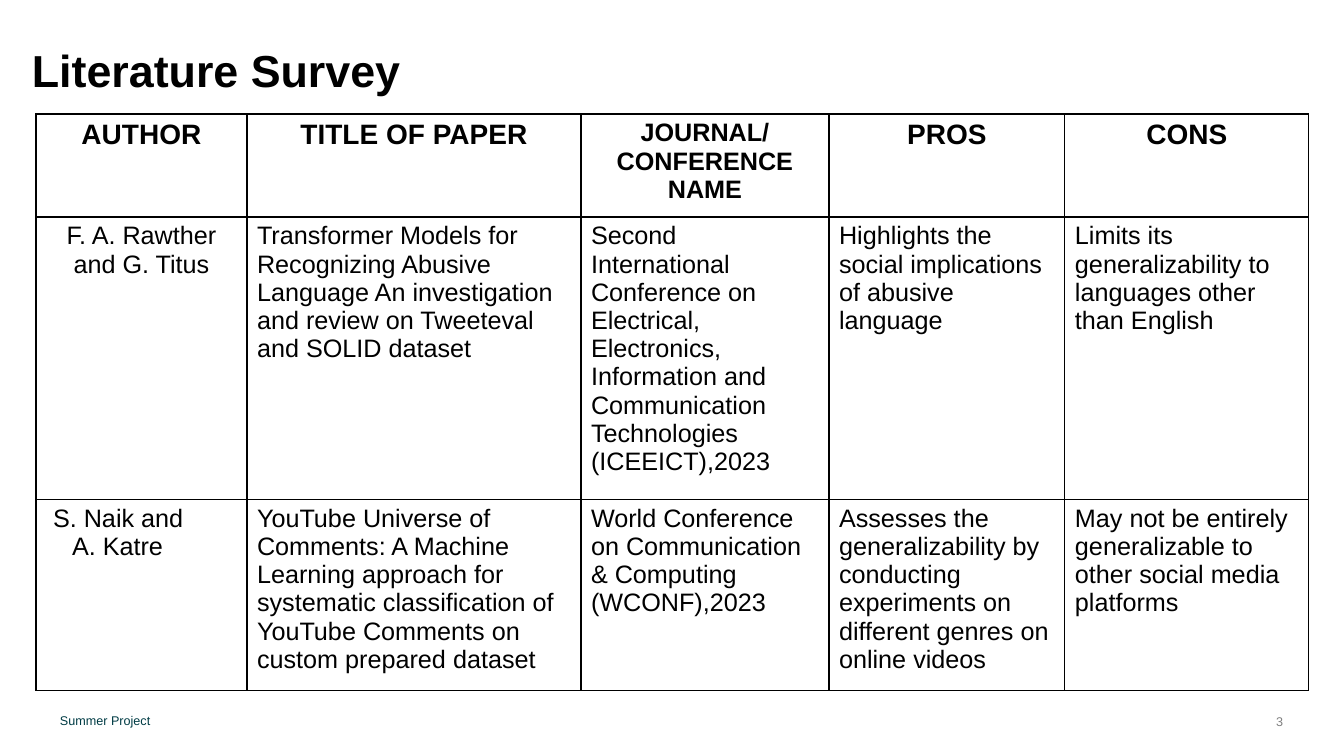
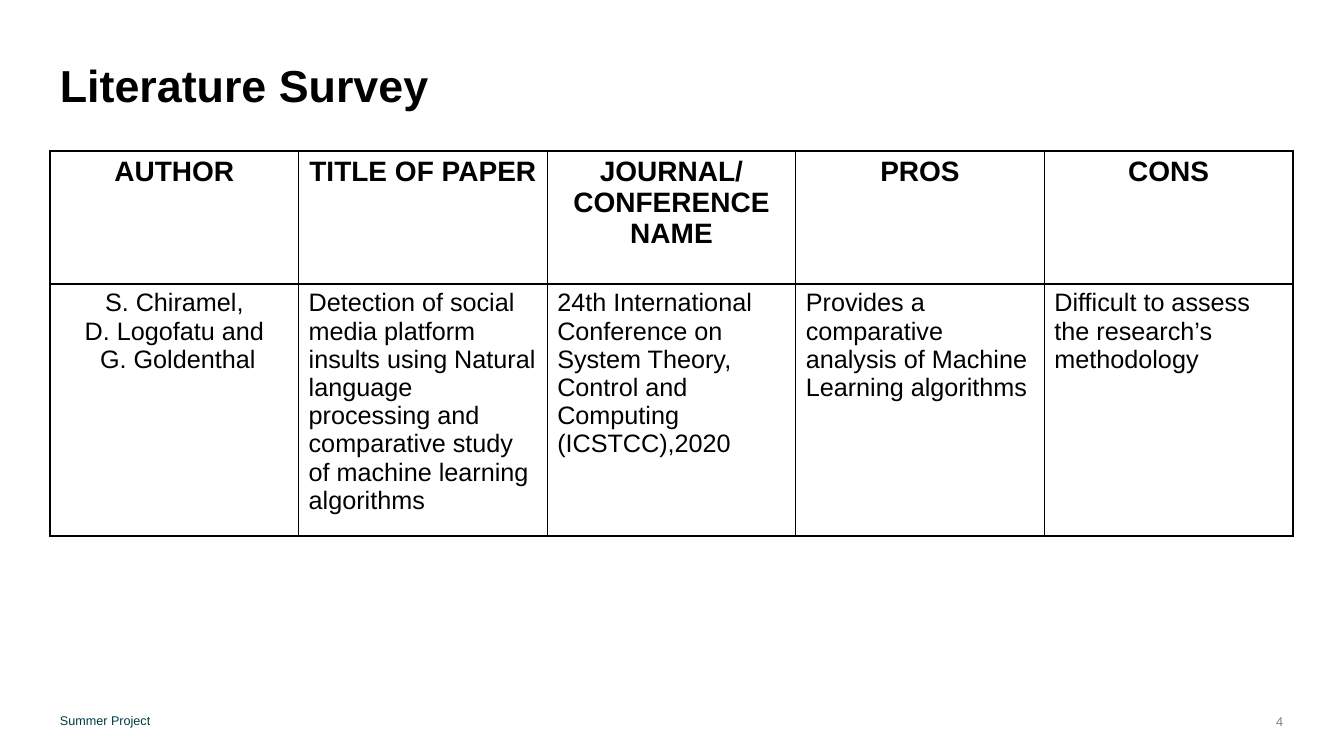
"""Build two literature survey slides, each with a bordered table."""
from lxml import etree
from pptx import Presentation
from pptx import util as u
from pptx.enum import text
from pptx.dml.color import RGBColor
from pptx.oxml.ns import qn

PX = 914400 / 100.8
FONT = "Arial"
COLOURS = {"ink": "000000", "footer": "003C45", "number": "808080"}
ALIGN = {"left": text.PP_ALIGN.LEFT, "center": text.PP_ALIGN.CENTER, "right": text.PP_ALIGN.RIGHT}
TITLE = "Literature Survey"
FOOTER = "Summer Project"
HEADINGS = ["AUTHOR", "TITLE OF PAPER", "JOURNAL/\nCONFERENCE NAME", "PROS", "CONS"]

SURVEYS = [
    {
        "number": 3,
        "title_at": (22, 37),
        "table_at": (36, 114),
        "columns": [211, 334, 248, 236, 244],
        "rows": [103, 264, 179],
        "heading_sizes": [20, 20, 18, 20, 20],
        "papers": [
            ["F. A. Rawther and G. Titus",
             "Transformer Models for Recognizing Abusive Language An investigation and review "
             "on Tweeteval and SOLID dataset",
             "Second International Conference on Electrical, Electronics, Information and "
             "Communication Technologies (ICEEICT),2023",
             "Highlights the social implications of abusive language",
             "Limits its generalizability to languages other than English"],
            ["S. Naik and\nA. Katre",
             "YouTube Universe of Comments: A Machine Learning approach for systematic "
             "classification of YouTube Comments on custom prepared dataset",
             "World Conference on Communication & Computing (WCONF),2023",
             "Assesses the generalizability by conducting experiments on different genres on "
             "online videos",
             "May not be entirely generalizable to other social media platforms"],
        ],
        "author_formats": [{"align": "center"}, {"indents": [7, 26]}],
    },
    {
        "number": 4,
        "title_at": (50, 52),
        "table_at": (50, 151),
        "columns": [248.6] * 5,
        "rows": [133, 235],
        "heading_sizes": [20] * 5,
        "papers": [
            ["S. Chiramel,\nD. Logofatu and\nG. Goldenthal",
             "Detection of social media platform insults using Natural language processing and "
             "comparative study of machine learning algorithms",
             "24th International Conference on System Theory, Control and Computing (ICSTCC),2020",
             "Provides a comparative analysis of Machine Learning algorithms",
             "Difficult to assess the research’s methodology"],
        ],
        "author_formats": [{"align": "center", "indents": [0, 0, 7]}],
    },
]


def px(length):
    """Turn pixels into EMU."""
    return u.Emu(round(length * PX))


def write(frame, words, size=18, bold=False, colour="ink", align="left", indents=()):
    """Fill a text frame, one paragraph for each line."""
    frame.word_wrap = True
    for index, line in enumerate(words.split("\n")):
        paragraph = frame.paragraphs[0] if index == 0 else frame.add_paragraph()
        if indents:
            paragraph._p.get_or_add_pPr().set("marL", str(px(indents[index])))
        paragraph.alignment = ALIGN[align]
        run = paragraph.add_run()
        run.text = line
        run.font.name, run.font.size, run.font.bold = FONT, u.Pt(size), bold
        run.font.color.rgb = RGBColor.from_string(COLOURS[colour])


def add_label(slide, words, at, anchor, **style):
    """Add a text box at left, top, width and height."""
    frame = slide.shapes.add_textbox(*map(px, at)).text_frame
    frame.vertical_anchor = anchor
    write(frame, words, **style)


def border(cell):
    """Give a cell thin lines on all sides and no fill."""
    properties = cell._tc.get_or_add_tcPr()
    for side in ("lnL", "lnR", "lnT", "lnB"):
        line = etree.SubElement(properties, qn(f"a:{side}"), w=str(u.Pt(1)))
        fill = etree.SubElement(line, qn("a:solidFill"))
        etree.SubElement(fill, qn("a:srgbClr"), val=COLOURS["ink"])
    cell.fill.background()


def add_survey_table(slide, survey):
    """Add the table of papers."""
    columns, rows = survey["columns"], survey["rows"]
    box = (*survey["table_at"], sum(columns), sum(rows))
    table = slide.shapes.add_table(len(rows), len(columns), *map(px, box)).table
    table.first_row = table.horz_banding = False
    for column, width in zip(table.columns, columns):
        column.width = px(width)
    for row, height in zip(table.rows, rows):
        row.height = px(height)
    for r, entries in enumerate([HEADINGS] + survey["papers"]):
        for c, entry in enumerate(entries):
            style = {}
            if r == 0:
                style = {"size": survey["heading_sizes"][c], "bold": True, "align": "center"}
            elif c == 0:
                style = survey["author_formats"][r - 1]
            cell = table.cell(r, c)
            write(cell.text_frame, entry, **style)
            border(cell)


def add_frame(slide, survey):
    """Add the title, footer and slide number."""
    add_label(slide, FOOTER, (50, 700, 311, 42), text.MSO_ANCHOR.MIDDLE, size=9, colour="footer")
    add_label(slide, TITLE, (*survey["title_at"], 1243, 64), text.MSO_ANCHOR.BOTTOM,
              size=32, bold=True)
    add_label(slide, str(survey["number"]), (1243, 707, 50, 27), text.MSO_ANCHOR.BOTTOM,
              size=9, colour="number", align="right")


def main():
    """Build and save the slides."""
    deck = Presentation()
    deck.slide_width, deck.slide_height = px(1344), px(756)
    for survey in SURVEYS:
        slide = deck.slides.add_slide(deck.slide_layouts[6])
        add_frame(slide, survey)
        add_survey_table(slide, survey)
    deck.save("out.pptx")


if __name__ == "__main__":
    main()
